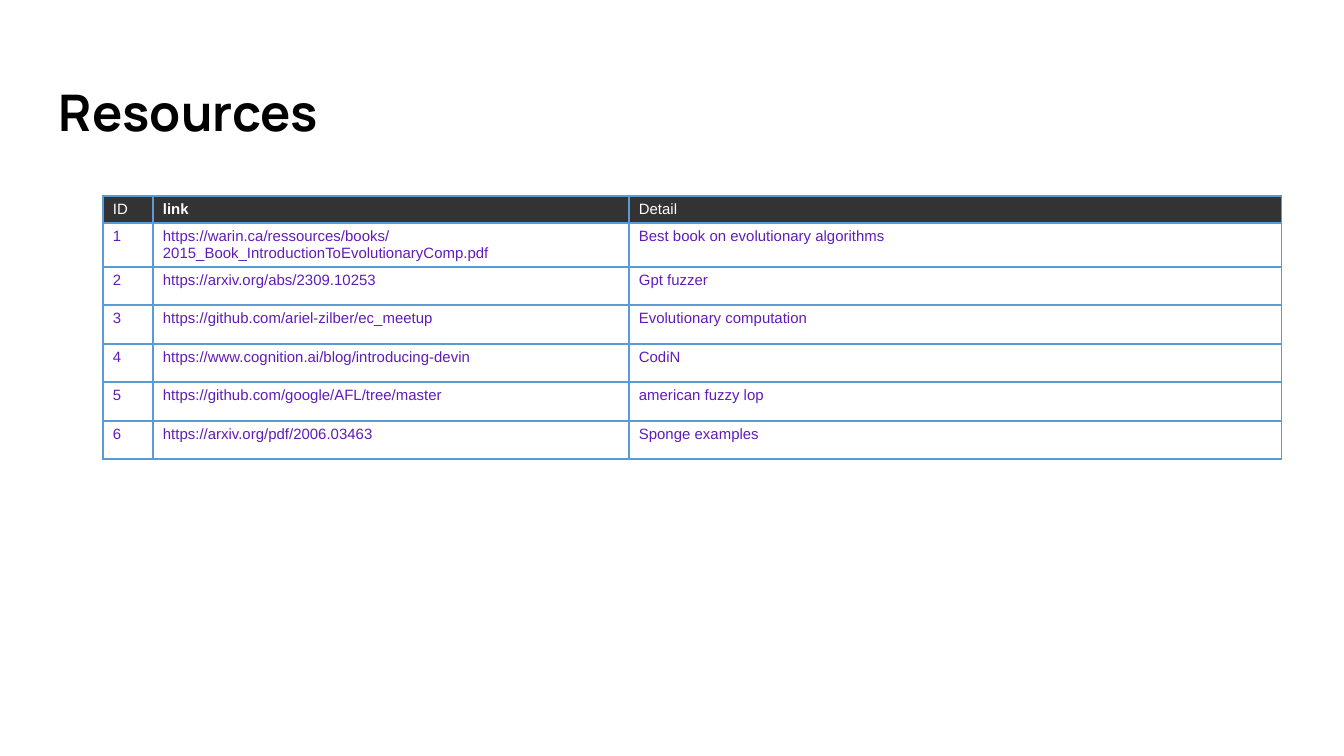
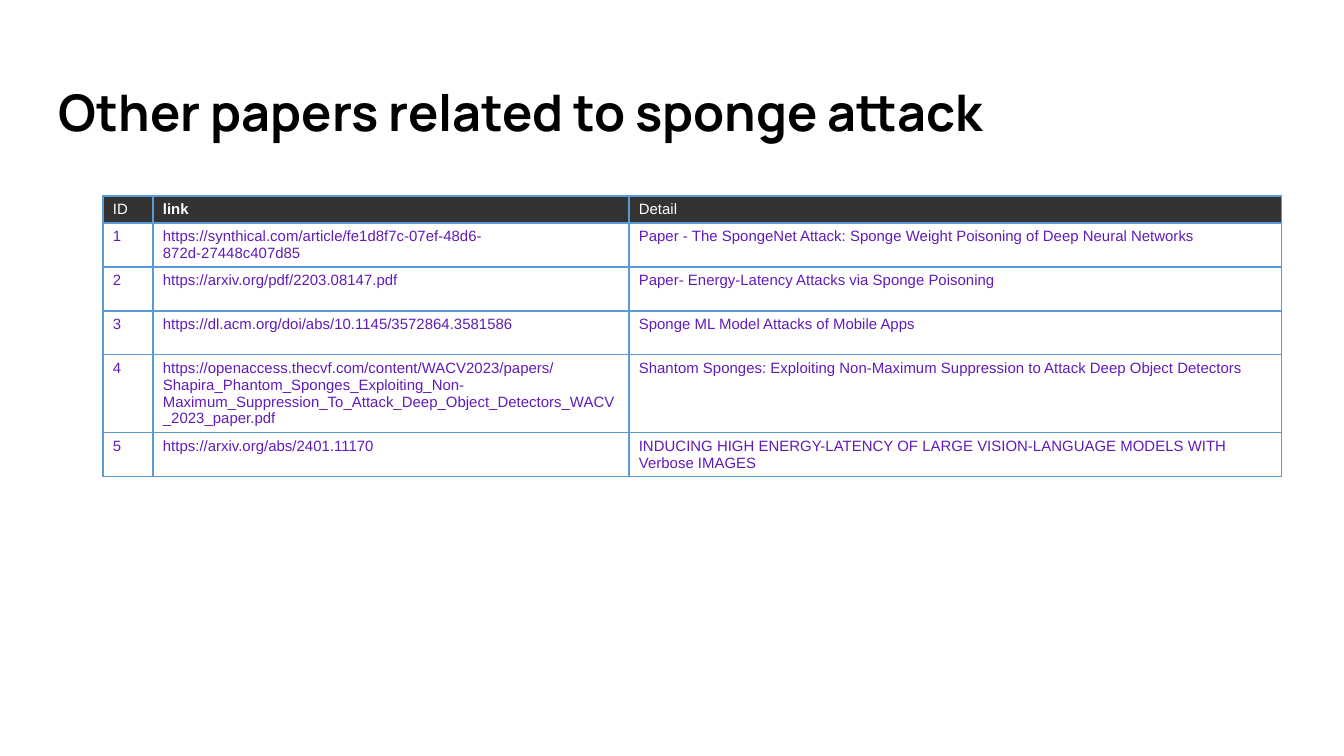
from lxml.etree import SubElement
from pptx import Presentation
from pptx.dml.color import RGBColor
from pptx.enum.text import MSO_ANCHOR as Anchor, MSO_AUTO_SIZE as AutoSize, PP_ALIGN as Align
from pptx.oxml.ns import qn
from pptx.util import Pt

PX = 914400 / 134.4
COLORS = {"title": "000000", "header": "333333", "header_text": "FFFFFF",
          "body_text": "611BB8", "border": "5B9BD5"}
HEADER = ("ID", "link", "Detail")
COLUMN_WIDTHS = (50, 476, 653)
HEADER_HEIGHT = 27

# Each slide: title, then rows of (height, link, detail)
SLIDES = [
    ("Resources", [
        (44, "https://warin.ca/ressources/books/2015_Book_IntroductionToEvolutionaryComp.pdf",
         "Best book on evolutionary algorithms"),
        (38, "https://arxiv.org/abs/2309.10253", "Gpt fuzzer"),
        (39, "https://github.com/ariel-zilber/ec_meetup", "Evolutionary computation"),
        (38, "https://www.cognition.ai/blog/introducing-devin", "CodiN"),
        (39, "https://github.com/google/AFL/tree/master", "american fuzzy lop"),
        (38, "https://arxiv.org/pdf/2006.03463", "Sponge examples"),
    ]),
    ("Other papers related to sponge attack", [
        (44, "https://synthical.com/article/fe1d8f7c-07ef-48d6-872d-27448c407d85",
         "Paper - The SpongeNet Attack: Sponge Weight Poisoning of Deep Neural Networks"),
        (44, "https://arxiv.org/pdf/2203.08147.pdf",
         "Paper- Energy-Latency Attacks via Sponge Poisoning"),
        (44, "https://dl.acm.org/doi/abs/10.1145/3572864.3581586",
         "Sponge ML Model Attacks of Mobile Apps"),
        (78, "https://openaccess.thecvf.com/content/WACV2023/papers/"
             "Shapira_Phantom_Sponges_Exploiting_Non-Maximum_Suppression_"
             "To_Attack_Deep_Object_Detectors_WACV_2023_paper.pdf",
         "Shantom Sponges: Exploiting Non-Maximum Suppression to Attack Deep Object Detectors"),
        (44, "https://arxiv.org/abs/2401.11170",
         "INDUCING HIGH ENERGY-LATENCY OF LARGE VISION-LANGUAGE MODELS WITH Verbose IMAGES"),
    ]),
]


def px(*lengths):
    """Turn px lengths into EMU."""
    return [round(length * PX) for length in lengths]


def write(holder, text, *, size, font, color, bold=False, anchor=Anchor.TOP, margins=(10, 5)):
    """Fill a title or a table cell with one formatted paragraph."""
    holder.vertical_anchor = anchor
    holder.margin_left, holder.margin_top = holder.margin_right, holder.margin_bottom = px(*margins)
    frame = getattr(holder, "text_frame", holder)
    para = frame.paragraphs[0]
    para.alignment = Align.LEFT
    span = para.add_run()
    span.text = text
    span.font.size = Pt(size)
    span.font.name = font
    span.font.bold = bold
    span.font.color.rgb = RGBColor.from_string(COLORS[color])


deck = Presentation()
deck.slide_width, deck.slide_height = px(1344, 756)
title_only = deck.slide_layouts[5]

for title, entries in SLIDES:
    page = deck.slides.add_slide(title_only)
    heading = page.shapes.title
    heading.left, heading.top, heading.width, heading.height = px(46, 66, 1252, 91)
    heading.text_frame.word_wrap = True
    heading.text_frame.auto_size = AutoSize.NONE
    write(heading.text_frame, title, size=27, font="Manrope", color="title", bold=True,
          anchor=Anchor.MIDDLE, margins=(13, 13))

    heights = [HEADER_HEIGHT] + [height for height, _, _ in entries]
    rows = [HEADER] + [(str(number), link, detail)
                       for number, (_, link, detail) in enumerate(entries, 1)]
    table = page.shapes.add_table(len(rows), len(HEADER),
                                  *px(103, 196, sum(COLUMN_WIDTHS), sum(heights))).table
    table.first_row = table.horz_banding = False
    for column, width in zip(table.columns, px(*COLUMN_WIDTHS)):
        column.width = width
    for row, height in zip(table.rows, px(*heights)):
        row.height = height

    for row_index, texts in enumerate(rows):
        is_header = row_index == 0
        for column_index, text in enumerate(texts):
            cell = table.cell(row_index, column_index)
            write(cell, text, size=8, font="Arial", bold=is_header and text == "link",
                  color="header_text" if is_header else "body_text")
            properties = cell._tc.get_or_add_tcPr()
            for side in ("a:lnL", "a:lnR", "a:lnT", "a:lnB"):
                line = SubElement(properties, qn(side), w=str(Pt(0.75)))
                line_fill = SubElement(line, qn("a:solidFill"))
                SubElement(line_fill, qn("a:srgbClr"), val=COLORS["border"])
            if is_header:
                cell.fill.solid()
                cell.fill.fore_color.rgb = RGBColor.from_string(COLORS["header"])
            else:
                cell.fill.background()

deck.save("out.pptx")
